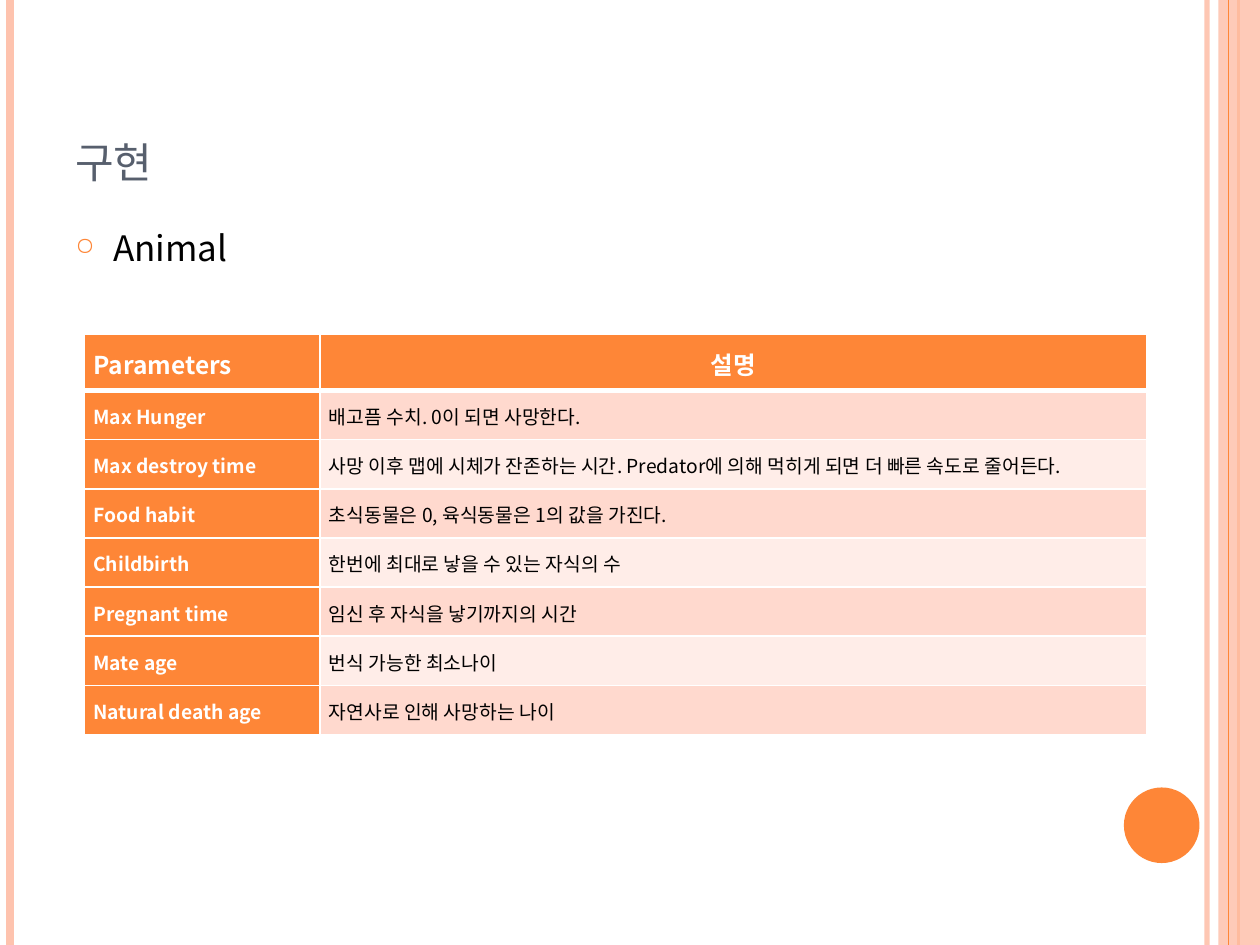
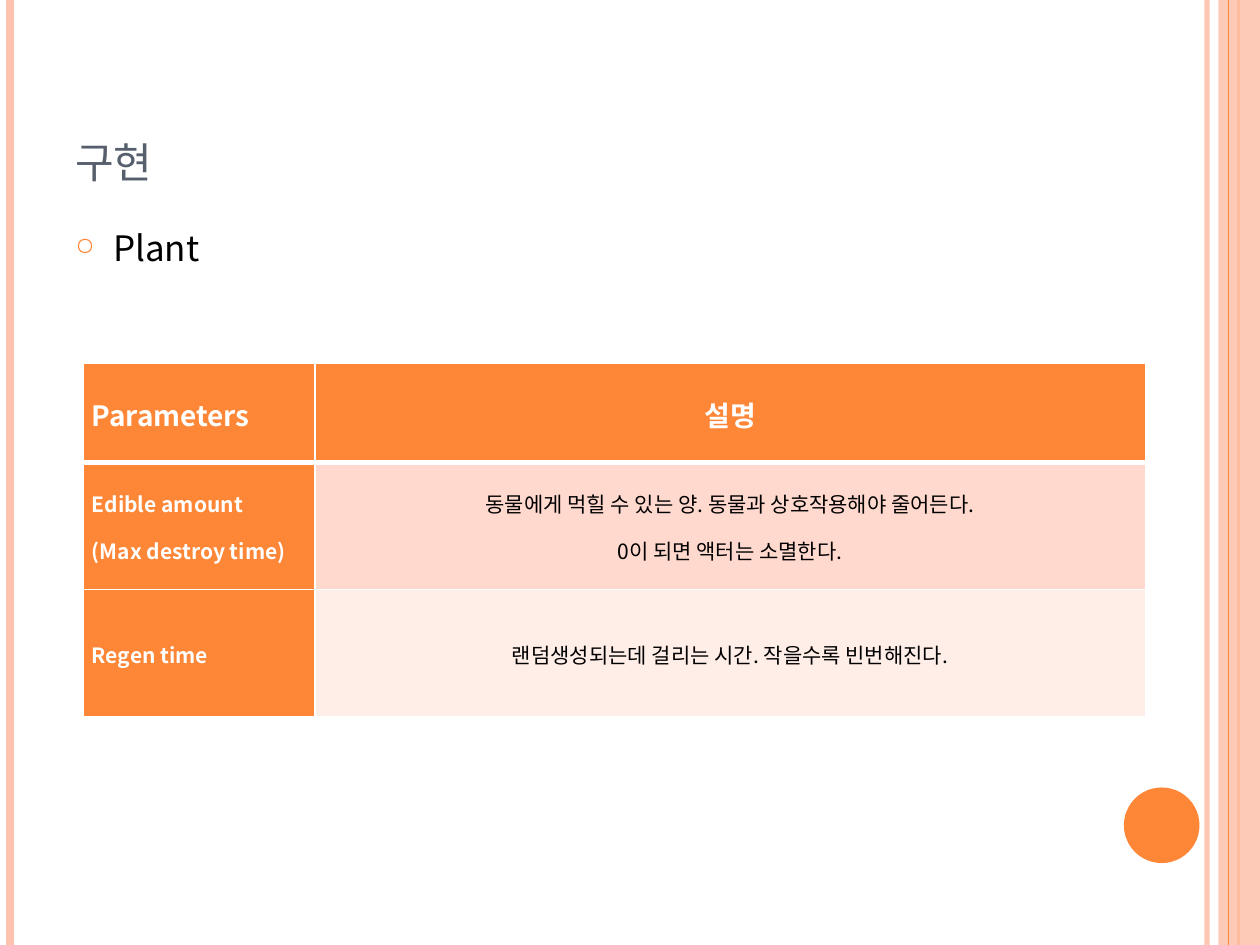
from dataclasses import dataclass
from typing import Any

import lxml.etree
import pptx
import pptx.dml.color
import pptx.enum.shapes
import pptx.enum.text
import pptx.oxml.ns
import pptx.util

Inches = pptx.util.Inches
Pt = pptx.util.Pt
Align = pptx.enum.text.PP_ALIGN
Anchor = pptx.enum.text.MSO_ANCHOR
Shape = pptx.enum.shapes.MSO_SHAPE

FONT = "Noto Sans CJK KR"
TALL = 7.5
COLORS = {
    "orange": "FE8637", "peach": "FEC3AE", "slate": "575F6D",
    "black": "000000", "white": "FFFFFF",
    "odd": "FFD9CE", "even": "FFEDE8",
}


@dataclass
class Stripe:
    x: float
    color: str
    width: float
    alpha: int = 100


@dataclass
class Block:
    left: float
    top: float
    width: float
    height: float
    color: str
    kind: Any
    alpha: int = 100


@dataclass
class Grid:
    left: float
    top: float
    cols: list[float]
    head: float       # height of the header row
    step: float       # height of every other row
    sizes: tuple[int, int]
    align: Any        # alignment of the descriptions
    rows: list[tuple[str, str]]


@dataclass
class Page:
    topic: str
    grid: Grid


FRAME = [
    Stripe(9.58, "peach", 3, 93),
    Stripe(0.08, "peach", 4.5),
    Stripe(9.83, "orange", 1.5),
    Block(9.67, 0, 0.33, TALL, "peach", Shape.RECTANGLE, 87),
    Stripe(9.75, "orange", 0.75),
    Block(8.92, 6.25, 0.6, 0.6, "orange", Shape.OVAL),
]

PAGES = [
    Page("Animal", Grid(0.67, 2.65, [1.87, 6.56], 0.45, 0.39, (14, 11), Align.JUSTIFY, [
        ("Max Hunger", "배고픔 수치. 0이 되면 사망한다."),
        ("Max destroy time",
         "사망 이후 맵에 시체가 잔존하는 시간. Predator에 의해 먹히게 되면 더 빠른 속도로 줄어든다."),
        ("Food habit", "초식동물은 0, 육식동물은 1의 값을 가진다."),
        ("Childbirth", "한번에 최대로 낳을 수 있는 자식의 수"),
        ("Pregnant time", "임신 후 자식을 낳기까지의 시간"),
        ("Mate age", "번식 가능한 최소나이"),
        ("Natural death age", "자연사로 인해 사망하는 나이"),
    ])),
    Page("Plant", Grid(0.66, 2.88, [1.84, 6.59], 0.79, 1.01, (16, 12), Align.CENTER, [
        ("Edible amount\n(Max destroy time)",
         "동물에게 먹힐 수 있는 양. 동물과 상호작용해야 줄어든다.\n0이 되면 액터는 소멸한다."),
        ("Regen time", "랜덤생성되는데 걸리는 시간. 작을수록 빈번해진다."),
    ])),
]


def rgb(name: str) -> pptx.dml.color.RGBColor:
    return pptx.dml.color.RGBColor.from_string(COLORS[name])


def add(parent: Any, tag: str, **attrs: Any) -> Any:
    """Append an XML child such as a:ln with the given attributes."""
    return lxml.etree.SubElement(
        parent, pptx.oxml.ns.qn(tag), {k: str(v) for k, v in attrs.items()})


def fade(part: Any, alpha: int) -> None:
    if alpha < 100:
        for tint in part.iter(pptx.oxml.ns.qn("a:srgbClr")):
            add(tint, "a:alpha", val=alpha * 1000)


def write(frame: Any, text: str, *, size: float, color: str, bold: bool = False,
          align: Any = Align.LEFT, lines: float = 1.0, after: float = 0,
          bullet: str = "", small: bool = False) -> None:
    frame.word_wrap = True
    for i, line in enumerate(text.split("\n")):
        para = frame.paragraphs[0] if i == 0 else frame.add_paragraph()
        para.alignment = align
        para.line_spacing = lines
        para.space_after = Pt(after)
        if bullet:
            props = para._p.get_or_add_pPr()
            props.set("marL", str(Inches(0.3)))
            props.set("indent", str(Inches(-0.3)))
            add(add(props, "a:buClr"), "a:srgbClr", val=COLORS["orange"])
            add(props, "a:buSzPct", val=70000)
            add(props, "a:buChar", char=bullet)
        run = para.add_run()
        run.text = line
        font = run.font
        font.name, font.size, font.bold = FONT, Pt(size), bold
        font.color.rgb = rgb(color)
        mark = run._r.get_or_add_rPr()
        add(mark, "a:ea", typeface=FONT)
        if small:
            mark.set("cap", "small")


def draw_stripe(slide: Any, bar: Stripe) -> None:
    x = Inches(bar.x)
    line = slide.shapes.add_connector(
        pptx.enum.shapes.MSO_CONNECTOR.STRAIGHT, x, 0, x, Inches(TALL))
    line.line.color.rgb = rgb(bar.color)
    line.line.width = Pt(bar.width)
    fade(line._element.spPr, bar.alpha)
    add(line._element.spPr, "a:effectLst")


def draw_block(slide: Any, block: Block) -> None:
    shape = slide.shapes.add_shape(
        block.kind, Inches(block.left), Inches(block.top),
        Inches(block.width), Inches(block.height))
    shape.shadow.inherit = False
    shape.fill.solid()
    shape.fill.fore_color.rgb = rgb(block.color)
    shape.line.fill.background()
    fade(shape._element.spPr, block.alpha)


def draw_frame(slide: Any) -> None:
    for part in FRAME:
        if isinstance(part, Stripe):
            draw_stripe(slide, part)
        else:
            draw_block(slide, part)


def draw_text(slide: Any, top: float, height: float, text: str,
              anchor: Any, **style: Any) -> None:
    box = slide.shapes.add_textbox(
        Inches(0.5), Inches(top), Inches(8.17), Inches(height))
    box.text_frame.vertical_anchor = anchor
    write(box.text_frame, text, **style)


def set_cell(cell: Any, text: str, fill: str, edges: dict[str, float],
             **style: Any) -> None:
    cell.margin_left = cell.margin_right = Inches(0.07)
    cell.margin_top = cell.margin_bottom = 0
    cell.vertical_anchor = Anchor.MIDDLE
    # Borders come before the fill in the cell properties
    for side, width in edges.items():
        line = add(cell._tc.get_or_add_tcPr(), f"a:ln{side}", w=Pt(width))
        add(add(line, "a:solidFill"), "a:srgbClr", val=COLORS["white"])
    cell.fill.solid()
    cell.fill.fore_color.rgb = rgb(fill)
    write(cell.text_frame, text, lines=1.07, after=8, **style)


def draw_grid(slide: Any, grid: Grid) -> None:
    rows = [("Parameters", "설명"), *grid.rows]
    tall = grid.head + grid.step * len(grid.rows)
    table = slide.shapes.add_table(
        len(rows), 2, Inches(grid.left), Inches(grid.top),
        Inches(sum(grid.cols)), Inches(tall)).table
    table.horz_banding = False
    for col, width in zip(table.columns, grid.cols):
        col.width = Inches(width)
    for r, texts in enumerate(rows):
        head = r == 0
        table.rows[r].height = Inches(grid.head if head else grid.step)
        edges = {"L": 1, "R": 1, "T": 3 if r == 1 else 1, "B": 3 if head else 1}
        for c, text in enumerate(texts):
            label = head or c == 0
            fill = "orange" if label else "odd" if r % 2 else "even"
            if c == 0:
                align = Align.LEFT
            else:
                align = Align.CENTER if head else grid.align
            set_cell(table.cell(r, c), text, fill, edges, align=align, bold=label,
                     size=grid.sizes[0 if head else 1],
                     color="white" if label else "black")


def main() -> None:
    deck = pptx.Presentation()
    deck.slide_width, deck.slide_height = Inches(10), Inches(TALL)
    for page in PAGES:
        slide = deck.slides.add_slide(deck.slide_layouts[6])
        draw_frame(slide)
        draw_text(slide, 0.3, 1.25, "구현", Anchor.BOTTOM,
                  size=30, color="slate", small=True)
        draw_text(slide, 1.75, 5.33, page.topic, Anchor.TOP,
                  size=20, color="black", bullet="○")
        draw_grid(slide, page.grid)
    deck.save("out.pptx")


if __name__ == "__main__":
    main()
